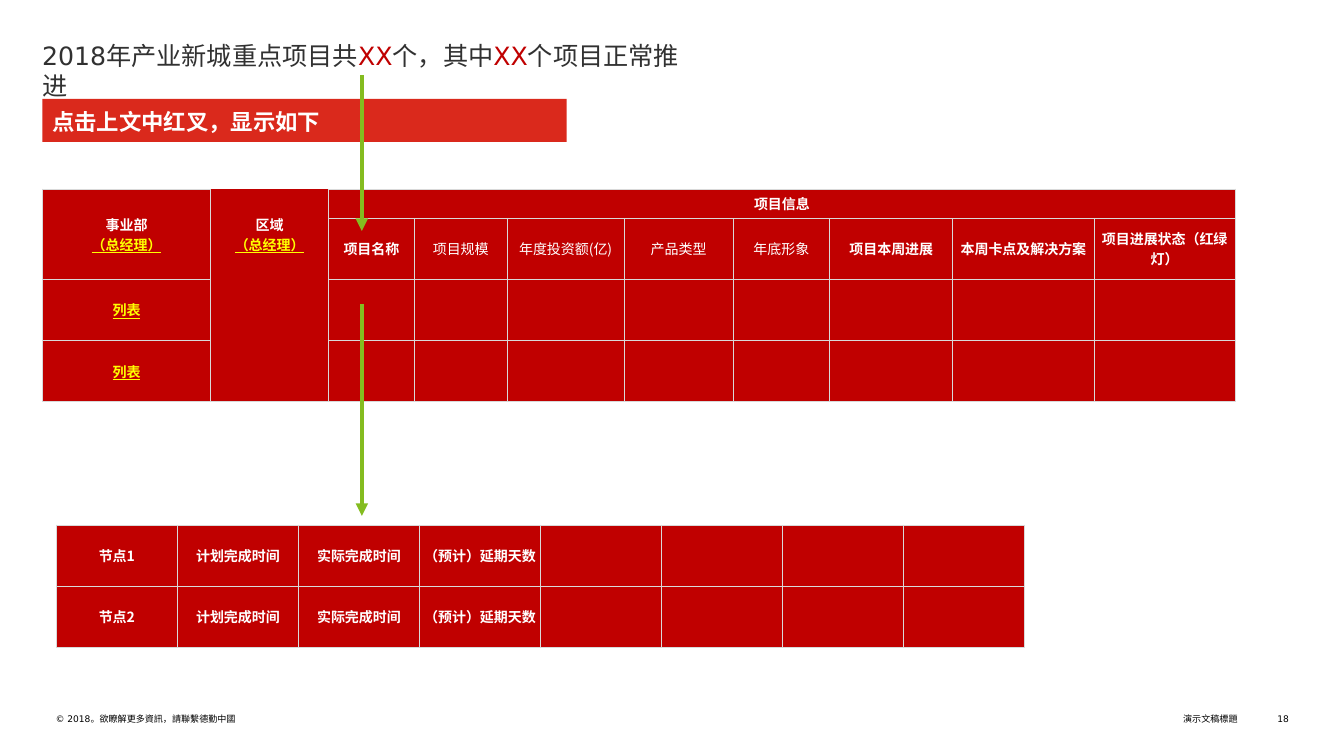
from pptx import Presentation
from pptx.dml.color import RGBColor
from pptx.enum.shapes import MSO_CONNECTOR, MSO_SHAPE
from pptx.enum.text import MSO_ANCHOR, PP_ALIGN
from pptx.oxml import parse_xml
from pptx.oxml.ns import nsdecls, qn
from pptx.util import Cm, Pt

LEFT, MID, RIGHT = PP_ALIGN.LEFT, PP_ALIGN.CENTER, PP_ALIGN.RIGHT
TOP, CENTER = MSO_ANCHOR.TOP, MSO_ANCHOR.MIDDLE
RECT, STRAIGHT = MSO_SHAPE.RECTANGLE, MSO_CONNECTOR.STRAIGHT

SANS, CJK = "DejaVu Sans", "Noto Sans CJK SC"
WHITE, BLACK, GREY, RULE = "FFFFFF", "000000", "313131", "D9D9D9"
RED, BRIGHT, GOLD, GREEN = "C00000", "DA291C", "FFFF00", "84BC20"
PLAIN_GRID = "{2D5ABB26-0587-4C30-8999-92F81FD0307C}"

SMALL = {"size": Pt(6.5), "name": SANS}
TITLE = {"size": Pt(18), "name": SANS}
BAR = {"size": Pt(16), "name": SANS, "bold": True}
HEAD = {"size": Pt(10), "name": CJK, "bold": True}
LIGHT = {**HEAD, "bold": False}
LINK = {**HEAD, "underline": True}


def tint(code):
    return RGBColor.from_string(code)


def put(item, values):
    for key, value in values.items():
        setattr(item, key, value)


def add_run(para, text, style, color):
    run = para.add_run()
    run.text = text
    put(run.font, style)
    run.font.color.rgb = tint(color)
    face = parse_xml(f'<a:ea {nsdecls("a")} typeface="{CJK}"/>')
    run.font._element.find(qn("a:latin")).addnext(face)


def pad(item, size):
    sides = ("left", "right", "top", "bottom")
    put(item, {f"margin_{side}": Cm(size) for side in sides})


def add_text(slide, box, parts, style, align=LEFT, inset=0.0):
    frame = slide.shapes.add_textbox(*map(Cm, box)).text_frame
    put(frame, {"word_wrap": True, "vertical_anchor": TOP})
    if inset:
        put(frame, {"margin_left": Cm(inset), "margin_right": Cm(inset)})
    else:
        pad(frame, 0)
    para = frame.paragraphs[0]
    para.alignment = align
    for text, color in parts:
        add_run(para, text, style, color)


def add_bar(slide, box, text):
    bar = slide.shapes.add_shape(RECT, *map(Cm, box))
    bar.shadow.inherit = False
    bar.fill.solid()
    bar.fill.fore_color.rgb = tint(BRIGHT)
    bar.line.fill.background()
    frame = bar.text_frame
    put(frame, {"word_wrap": True, "vertical_anchor": CENTER})
    pad(frame, 0.25)
    para = frame.paragraphs[0]
    put(para, {"alignment": LEFT, "line_spacing": 1.06})
    add_run(para, text, BAR, WHITE)


def add_arrow(slide, x, top, end):
    arrow = slide.shapes.add_connector(STRAIGHT, Cm(x), Cm(top), Cm(x), Cm(end))
    arrow.line.color.rgb = tint(GREEN)
    arrow.line.width = Pt(3)
    arrow.line._get_or_add_ln().append(
        parse_xml(f'<a:tailEnd {nsdecls("a")} type="triangle"/>'))
    arrow._element.spPr.append(parse_xml(f'<a:effectLst {nsdecls("a")}/>'))


def edge(cell, sides):
    props = cell._tc.get_or_add_tcPr()
    for side in sides:
        props.append(parse_xml(
            f'<a:ln{side} {nsdecls("a")} w="{Pt(0.5)}"><a:solidFill>'
            f'<a:srgbClr val="{RULE}"/></a:solidFill></a:ln{side}>'))


def add_grid(slide, left, top, cols, rows):
    size = map(Cm, (left, top, sum(cols), sum(rows)))
    frame = slide.shapes.add_table(len(rows), len(cols), *size)
    grid = frame.table
    put(grid, {"first_row": False, "horz_banding": False})
    grid._tbl.tblPr.find(qn("a:tableStyleId")).text = PLAIN_GRID
    for col, width in zip(grid.columns, cols):
        col.width = Cm(width)
    for row, height in zip(grid.rows, rows):
        row.height = Cm(height)
    return grid


def paint(cell, sides="LRTB"):
    edge(cell, sides)
    cell.fill.solid()
    cell.fill.fore_color.rgb = tint(RED)
    cell.vertical_anchor = CENTER
    pad(cell, 0)
    para = cell.text_frame.paragraphs[0]
    para._p.get_or_add_endParaRPr().set("sz", "1000")


def write(cell, *lines):
    frame = cell.text_frame
    for i, (text, style, color) in enumerate(lines):
        para = frame.add_paragraph() if i else frame.paragraphs[0]
        para.alignment = MID
        add_run(para, text, style, color)


def add_projects(slide):
    cols = [4.24, 2.97, 2.16, 2.34, 2.95, 2.74, 2.44, 3.1, 3.56, 3.56]
    grid = add_grid(slide, 1.07, 4.76, cols, [0.74] + [1.54] * 3)
    for r in range(4):
        for c in range(len(cols)):
            open_side = "LRB" if r == 3 else "LR"
            paint(grid.cell(r, c), open_side if c == 1 else "LRTB")
    for c, name in enumerate(["事业部", "区域"]):
        grid.cell(0, c).merge(grid.cell(1, c))
        write(grid.cell(0, c), (name, HEAD, WHITE), ("（总经理）", LINK, GOLD))
    grid.cell(0, 2).merge(grid.cell(0, 9))
    write(grid.cell(0, 2), ("项目信息", HEAD, WHITE))
    heads = ["项目名称", "项目规模", "年度投资额(亿)", "产品类型", "年底形象",
             "项目本周进展", "本周卡点及解决方案", "项目进展状态（红绿灯）"]
    for c, name in enumerate(heads, 2):
        write(grid.cell(1, c), (name, LIGHT if 3 <= c <= 6 else HEAD, WHITE))
    for r in (2, 3):
        write(grid.cell(r, 0), ("列表", LINK, GOLD))


def add_nodes(slide):
    grid = add_grid(slide, 1.42, 13.23, [3.05] * 8, [1.54] * 2)
    for r in range(2):
        for c in range(8):
            paint(grid.cell(r, c))
        names = [f"节点{r + 1}", "计划完成时间", "实际完成时间", "（预计）延期天数"]
        for c, name in enumerate(names):
            write(grid.cell(r, c), (name, HEAD, WHITE))


def main():
    deck = Presentation()
    put(deck, {"slide_width": Cm(33.87), "slide_height": Cm(19.05)})
    slide = deck.slides.add_slide(deck.slide_layouts[6])
    notes = [(17.6, 13.59, "演示文稿標題", RIGHT),
             (1.4, 14.88, "© 2018。欲瞭解更多資訊，請聯繫德勤中國", LEFT),
             (31.62, 0.86, "18", RIGHT)]
    for left, width, text, align in notes:
        add_text(slide, (left, 17.98, width, 0.28), [(text, BLACK)], SMALL, align)
    title = [("2018年产业新城重点项目共", GREY), ("XX", RED), ("个，其中", GREY),
             ("XX", RED), ("个项目正常推进", GREY)]
    add_text(slide, (0.81, 0.89, 16.61, 1.02), title, TITLE, inset=0.25)
    add_bar(slide, (1.07, 2.49, 13.21, 1.09), "点击上文中红叉，显示如下")
    add_projects(slide)
    add_arrow(slide, 9.12, 1.9, 5.82)
    add_arrow(slide, 9.12, 7.67, 13)
    add_nodes(slide)
    deck.save("out.pptx")


if __name__ == "__main__":
    main()
